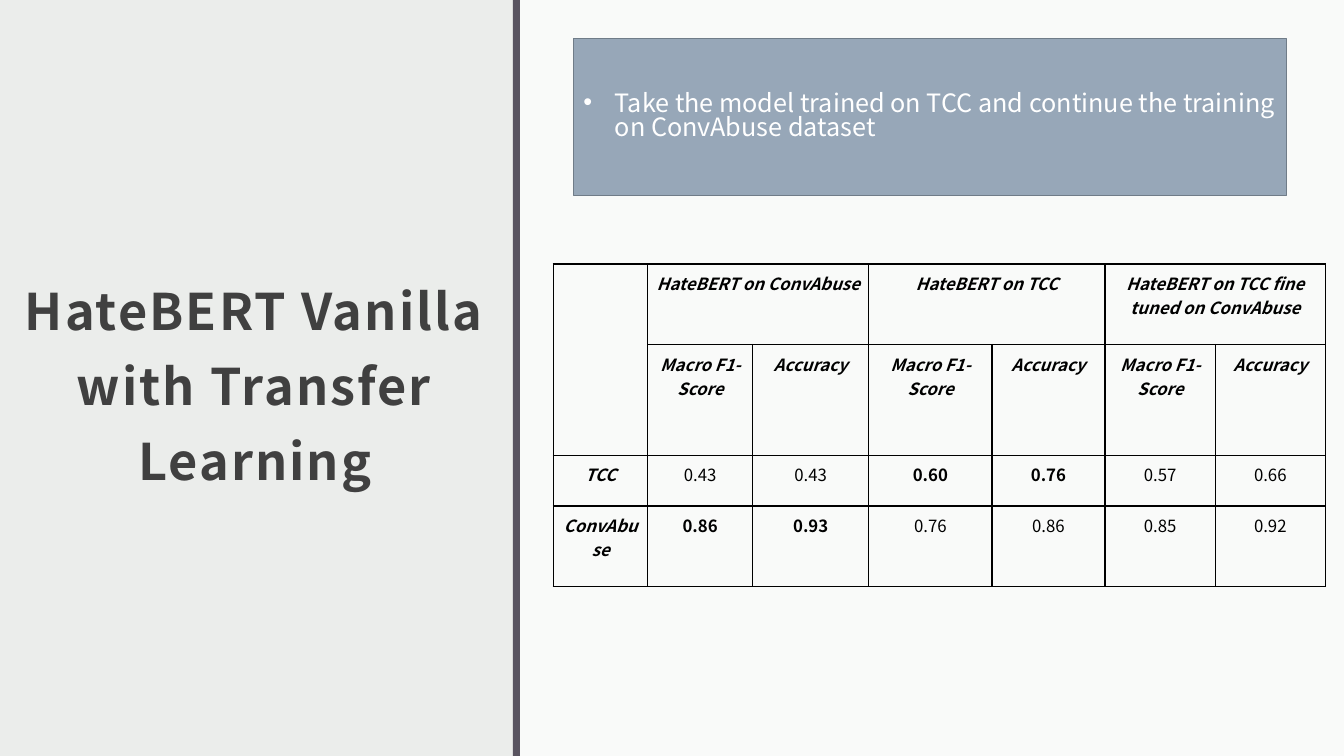
from lxml import etree
from pptx import Presentation
from pptx.dml.color import RGBColor
from pptx.enum.shapes import MSO_SHAPE
from pptx.enum.text import MSO_ANCHOR, MSO_AUTO_SIZE, PP_ALIGN
from pptx.oxml.ns import qn
from pptx.util import Cm, Pt

FONT = "Noto Sans CJK JP"
SLIDE_W, SLIDE_H = 33.86, 19.05
DIVIDER_X, DIVIDER_W = 12.92, 0.18

MODELS = ["HateBERT on ConvAbuse", "HateBERT on TCC",
          "HateBERT on TCC fine tuned on ConvAbuse"]
METRICS = ["Macro F1-Score", "Accuracy"]
SCORES = {
    "TCC": [0.43, 0.43, 0.60, 0.76, 0.57, 0.66],
    "ConvAbuse": [0.86, 0.93, 0.76, 0.86, 0.85, 0.92],
}
COLUMN_WIDTHS = [2.38, 2.64, 2.93, 3.1, 2.85, 2.78, 2.77]
ROW_HEIGHTS = [2.03, 2.79, 1.28, 2.03]


def rgb(value):
    """Turn a hex string into a colour."""
    return RGBColor.from_string(value)


def style_run(run, size, color, bold=False, italic=False):
    """Set the look of a run."""
    font = run.font
    font.name, font.size, font.bold, font.italic = FONT, Pt(size), bold, italic
    font.color.rgb = rgb(color)


def add_panel(slide, box, fill, line=None):
    """Add a flat rectangle in the box and return it."""
    panel = slide.shapes.add_shape(MSO_SHAPE.RECTANGLE, *map(Cm, box))
    panel.shadow.inherit = False
    panel.fill.solid()
    panel.fill.fore_color.rgb = rgb(fill)
    if line:
        panel.line.color.rgb = rgb(line)
        panel.line.width = Pt(1)
    else:
        panel.line.fill.background()
    return panel


def add_backdrop(slide, box):
    """Colour the slide and lay the pale content side with its divider."""
    left, top, width, height = box
    slide.background.fill.solid()
    slide.background.fill.fore_color.rgb = rgb("EBEDEB")
    content = add_panel(slide, (left + DIVIDER_W, top, width - DIVIDER_W, height),
                        "FFFFFF")
    color = content.fill._xPr.find(qn("a:solidFill"))[0]
    etree.SubElement(color, qn("a:alpha"), val="75000")
    add_panel(slide, (left, top, DIVIDER_W, height), "595460")


def place_title(slide, box, text):
    """Move the title placeholder into the box and format it."""
    title = slide.shapes.title
    title.left, title.top, title.width, title.height = map(Cm, box)
    frame = title.text_frame
    frame.word_wrap = True
    frame.auto_size = MSO_AUTO_SIZE.NONE
    frame.vertical_anchor = MSO_ANCHOR.MIDDLE
    frame.margin_left = frame.margin_right = frame.margin_top = Cm(0.3)
    frame.margin_bottom = Cm(0.25)
    paragraph = frame.paragraphs[0]
    paragraph.alignment = PP_ALIGN.CENTER
    paragraph.line_spacing = 1.24
    run = paragraph.add_run()
    run.text = text
    style_run(run, 36, "404040", bold=True)
    run.font._element.set("spc", "150")


def add_callout(slide, box, text):
    """Add the filled box with one bulleted point."""
    frame = add_panel(slide, box, "97A7B8", "707C88").text_frame
    frame.word_wrap = True
    frame.vertical_anchor = MSO_ANCHOR.MIDDLE
    paragraph = frame.paragraphs[0]
    paragraph.alignment = PP_ALIGN.LEFT
    paragraph.line_spacing = 0.82
    properties = paragraph._p.get_or_add_pPr()
    indent = Cm(0.79)
    properties.set("marL", str(indent))
    properties.set("indent", str(-indent))
    etree.SubElement(properties, qn("a:buFont"), typeface="Arial")
    etree.SubElement(properties, qn("a:buChar"), char="•")
    run = paragraph.add_run()
    run.text = text
    style_run(run, 18, "FFFFFF")


def format_cell(cell):
    """Clear the cell's fill, set its margins and draw black borders."""
    cell.margin_left = cell.margin_right = Cm(0.18)
    cell.margin_top = cell.margin_bottom = Cm(0.18)
    properties = cell._tc.get_or_add_tcPr()
    for side in ("lnL", "lnR", "lnT", "lnB"):
        line = etree.SubElement(properties, qn(f"a:{side}"), w=str(Pt(1)))
        fill = etree.SubElement(line, qn("a:solidFill"))
        etree.SubElement(fill, qn("a:srgbClr"), val="000000")
    cell.fill.background()


def write_cell(cell, text, bold=True, italic=True):
    """Write centred text in a cell; headings are bold italic."""
    paragraph = cell.text_frame.paragraphs[0]
    paragraph.alignment = PP_ALIGN.CENTER
    run = paragraph.add_run()
    run.text = text
    style_run(run, 12, "000000", bold, italic)


def add_score_table(slide, left, top):
    """Add the table of scores, with the best of each metric in bold."""
    frame = slide.shapes.add_table(
        len(ROW_HEIGHTS), len(COLUMN_WIDTHS), Cm(left), Cm(top),
        Cm(sum(COLUMN_WIDTHS)), Cm(sum(ROW_HEIGHTS)))
    table = frame.table
    table.first_row = table.horz_banding = False
    for column, width in zip(table.columns, COLUMN_WIDTHS):
        column.width = Cm(width)
    for row, height in zip(table.rows, ROW_HEIGHTS):
        row.height = Cm(height)
    for cell in table.iter_cells():
        format_cell(cell)

    table.cell(0, 0).merge(table.cell(1, 0))
    step = len(METRICS)
    for group, model in enumerate(MODELS):
        first = 1 + group * step
        table.cell(0, first).merge(table.cell(0, first + step - 1))
        write_cell(table.cell(0, first), model)
        for offset, metric in enumerate(METRICS):
            write_cell(table.cell(1, first + offset), metric)
    for row, (dataset, scores) in enumerate(SCORES.items(), start=2):
        write_cell(table.cell(row, 0), dataset)
        for index, score in enumerate(scores):
            best = max(scores[index % step::step])
            write_cell(table.cell(row, index + 1), f"{score:.2f}",
                       bold=score == best, italic=False)


def build_slide(deck):
    """Add the transfer learning slide to the deck."""
    slide = deck.slides.add_slide(deck.slide_layouts[5])
    add_backdrop(slide, (DIVIDER_X, 0, SLIDE_W - DIVIDER_X, SLIDE_H))
    place_title(slide, (0, 2.18, 12.85, 14.66),
                "HateBERT Vanilla with Transfer Learning")
    add_callout(slide, (14.45, 0.97, 17.96, 3.96),
                "Take the model trained on TCC and continue the training "
                "on ConvAbuse dataset")
    add_score_table(slide, 13.94, 6.65)


deck = Presentation()
deck.slide_width, deck.slide_height = Cm(SLIDE_W), Cm(SLIDE_H)
build_slide(deck)
deck.save("out.pptx")
